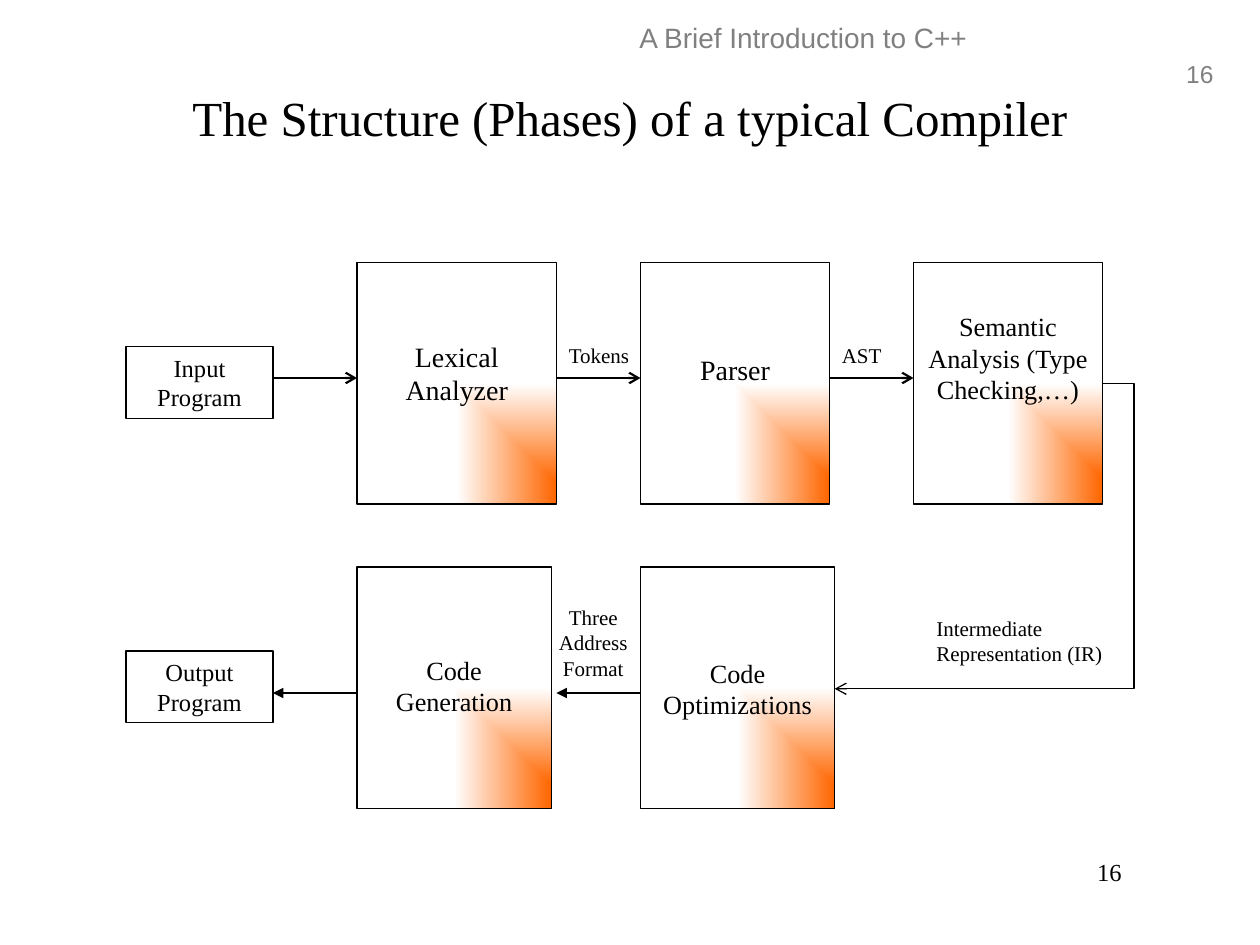
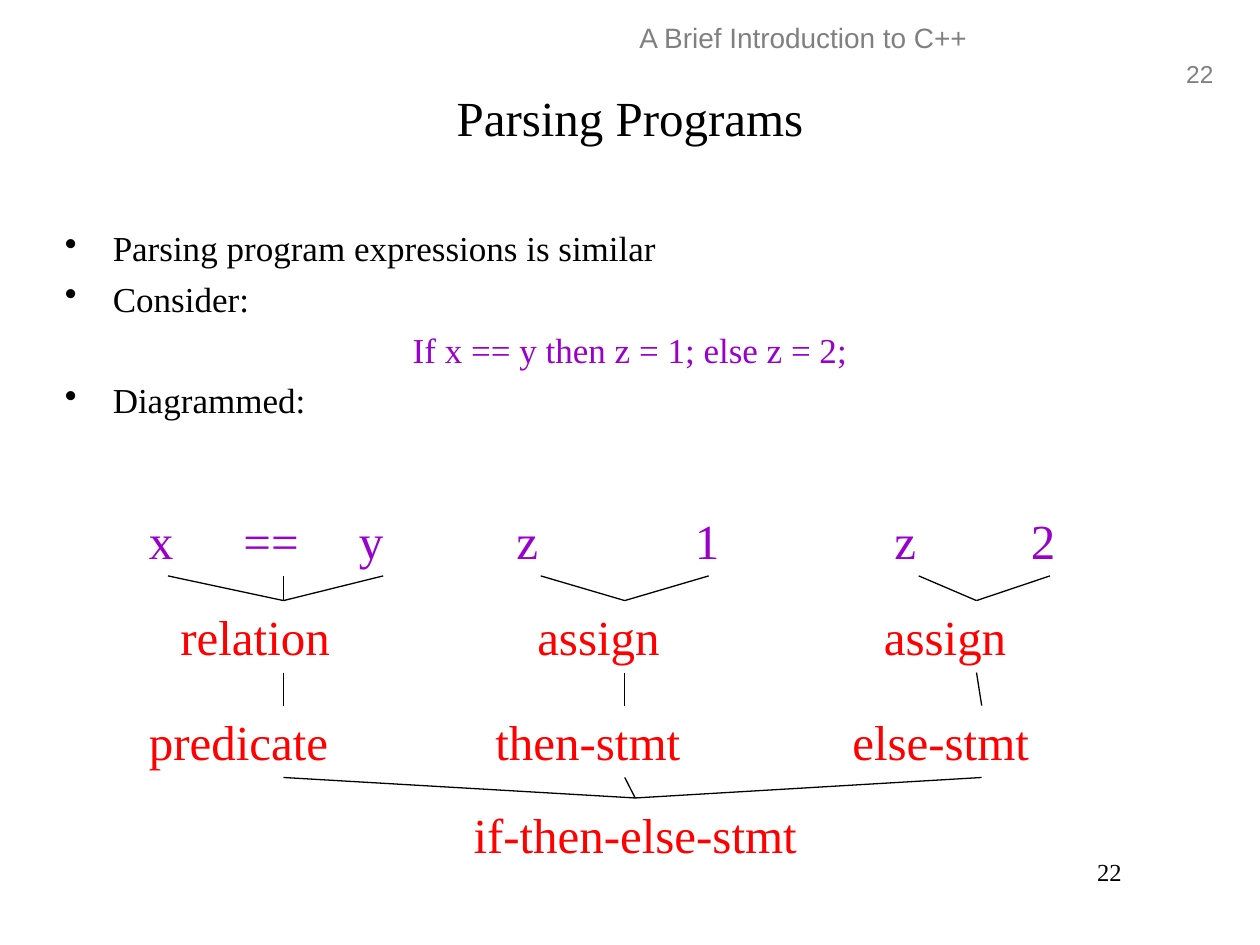
from dataclasses import dataclass
from typing import NamedTuple

from lxml import etree
from pptx import Presentation, util as u
from pptx.dml.color import RGBColor
from pptx.enum import shapes, text
from pptx.oxml.ns import qn

COLUMNS, ROWS = 120, 90
WIDTH, HEIGHT = u.Inches(10), u.Inches(7.5)
LEFT, CENTER, RIGHT = text.PP_ALIGN.LEFT, text.PP_ALIGN.CENTER, text.PP_ALIGN.RIGHT
TOP, MIDDLE = text.MSO_ANCHOR.TOP, text.MSO_ANCHOR.MIDDLE


@dataclass(frozen=True)
class Theme:
    serif: str = "Times New Roman"
    sans: str = "Arial"
    black: str = "000000"
    gray: str = "808080"
    white: str = "FFFFFF"
    orange: str = "FF6600"
    token: str = "9900CC"
    rule: str = "FF0000"
    title: float = 28
    body: float = 20
    header: float = 16
    phase: float = 15
    number: float = 14
    label: float = 12
    thin: float = 0.75
    thick: float = 1.25


THEME = Theme()


class Box(NamedTuple):
    """A place on the grid, in columns and rows."""
    column: float
    row: float
    columns: float
    rows: float


class Style(NamedTuple):
    size: float
    color: str = THEME.black
    font: str = THEME.serif
    align: text.PP_ALIGN = LEFT
    anchor: text.MSO_ANCHOR = TOP


class Phase(NamedTuple):
    name: str
    box: Box
    label_row: float
    size: float = THEME.phase


class Label(NamedTuple):
    words: str
    box: Box
    align: text.PP_ALIGN = LEFT


class Flow(NamedTuple):
    start: float
    end: float
    row: float
    head: str


class Node(NamedTuple):
    word: str
    column: float
    columns: float


class Fan(NamedTuple):
    """Lines from several columns that meet in one joint."""
    starts: tuple[float, ...]
    row: float
    joint: float
    joint_row: float


PHASE_ROWS = 23
PHASES = (
    Phase("Lexical Analyzer", Box(34, 25, 19, PHASE_ROWS), 31.7, THEME.header),
    Phase("Parser", Box(61, 25, 18, PHASE_ROWS), 33, THEME.header),
    Phase("Semantic Analysis (Type Checking,…)", Box(87, 25, 18, PHASE_ROWS), 29),
    Phase("Code\nGeneration", Box(34, 54, 18.5, PHASE_ROWS), 61.7),
    Phase("Code Optimizations", Box(61, 54, 18.5, PHASE_ROWS), 62),
)
PROGRAMS = (
    Label("Input Program", Box(12, 33, 14, 6.85)),
    Label("Output\nProgram", Box(12, 62, 14, 6.85)),
)
FLOWS = (
    Flow(26, 34, 36, "arrow"),
    Flow(53, 61, 36, "arrow"),
    Flow(79, 87, 36, "arrow"),
    Flow(61, 53, 66, "triangle"),
    Flow(34, 26, 66, "triangle"),
)
FLOW_LABELS = (
    Label("Tokens", Box(53, 32, 8.5, 3.6)),
    Label("AST", Box(79, 32, 6.5, 3.6)),
    Label("Three\nAddress\nFormat", Box(52, 57, 9, 8.5), CENTER),
    Label("Intermediate Representation (IR)", Box(88, 58, 19, 6)),
)

NODE_ROWS = 6.85
TOKEN_ROW, GROUP_ROW, PART_ROW, ROOT_ROW = 48, 57.2, 67.2, 76
TOKENS = (
    Node("x", 13, 6), Node("==", 22, 10), Node("y", 33, 7),
    Node("z", 48, 7), Node("1", 65, 5),
    Node("z", 84, 7), Node("2", 97, 6),
)
GROUPS = (Node("relation", 16, 22), Node("assign", 50, 19), Node("assign", 83, 20))
PARTS = (Node("predicate", 13, 28), Node("then-stmt", 46, 27), Node("else-stmt", 80, 27))
ROOT = (Node("if-then-else-stmt", 38, 45),)
TREE = (
    (TOKEN_ROW, TOKENS, THEME.token, LEFT),
    (GROUP_ROW, GROUPS, THEME.rule, LEFT),
    (PART_ROW, PARTS, THEME.rule, LEFT),
    (ROOT_ROW, ROOT, THEME.rule, CENTER),
)
TOKEN_END, GROUP_END, PART_END = (row + NODE_ROWS for row in (TOKEN_ROW, GROUP_ROW, PART_ROW))
FANS = (
    Fan((16, 27, 36.5), TOKEN_END, 27, GROUP_ROW),
    Fan((51.5, 67.5), TOKEN_END, 59.5, GROUP_ROW),
    Fan((87.5, 100), TOKEN_END, 93, GROUP_ROW),
    Fan((27,), GROUP_END, 27, PART_ROW),
    Fan((59.5,), GROUP_END, 59.5, PART_ROW),
    Fan((93,), GROUP_END, 93.5, PART_ROW),
    Fan((27, 59.5, 93.5), PART_END, 60.5, ROOT_ROW),
)


def across(columns: float) -> int:
    return round(WIDTH * columns / COLUMNS)


def down(rows: float) -> int:
    return round(HEIGHT * rows / ROWS)


def place(box: Box) -> tuple[int, int, int, int]:
    return across(box.column), down(box.row), across(box.columns), down(box.rows)


def write(shape, words: str, style: Style) -> None:
    frame = shape.text_frame
    frame.word_wrap = True
    frame.vertical_anchor = style.anchor
    frame.text = words
    for paragraph in frame.paragraphs:
        paragraph.alignment = style.align
        set_font(paragraph, style)


def set_font(paragraph, style: Style) -> None:
    paragraph.font.name = style.font
    paragraph.font.size = u.Pt(style.size)
    paragraph.font.color.rgb = RGBColor.from_string(style.color)


def add_text(slide, words: str, box: Box, style: Style):
    shape = slide.shapes.add_textbox(*place(box))
    write(shape, words, style)
    return shape


def add_rectangle(slide, box: Box):
    shape = slide.shapes.add_shape(shapes.MSO_SHAPE.RECTANGLE, *place(box))
    shape.shadow.inherit = False
    shape.fill.background()
    shape.line.color.rgb = RGBColor.from_string(THEME.black)
    shape.line.width = u.Pt(THEME.thin)
    return shape


def glow_from_corner(shape) -> None:
    """Fill with a gradient that spreads from the bottom right corner."""
    shape.fill.gradient()
    for stop, color in zip(shape.fill.gradient_stops, (THEME.orange, THEME.white)):
        stop.color.rgb = RGBColor.from_string(color)
    gradient = shape._element.spPr.find(qn("a:gradFill"))
    spread = etree.Element(qn("a:path"), {"path": "rect"})
    etree.SubElement(spread, qn("a:fillToRect"), {"l": "100000", "t": "100000"})
    gradient.replace(gradient.find(qn("a:lin")), spread)


def add_line(slide, start: tuple[float, float], end: tuple[float, float],
             width: float = THEME.thin, head: str = "",
             kind: shapes.MSO_CONNECTOR = shapes.MSO_CONNECTOR.STRAIGHT):
    connector = slide.shapes.add_connector(
        kind, across(start[0]), down(start[1]), across(end[0]), down(end[1]))
    connector.line.color.rgb = RGBColor.from_string(THEME.black)
    connector.line.width = u.Pt(width)
    properties = connector._element.spPr
    if head:
        etree.SubElement(properties.find(qn("a:ln")), qn("a:tailEnd"), {"type": head})
    etree.SubElement(properties, qn("a:effectLst"))
    return connector


def add_return_line(slide) -> None:
    """Lead from semantic analysis around the right side to the optimizations."""
    connector = add_line(slide, (105, 36.5), (79.5, 65.6), head="arrow",
                         kind=shapes.MSO_CONNECTOR.ELBOW)
    geometry = connector._element.spPr.find(qn("a:prstGeom"))
    adjustments = geometry.find(qn("a:avLst"))
    if adjustments is None:
        adjustments = etree.SubElement(geometry, qn("a:avLst"))
    etree.SubElement(adjustments, qn("a:gd"), {"name": "adj1", "fmla": "val -11800"})


def add_page(presentation, title: str, number: int):
    slide = presentation.slides.add_slide(presentation.slide_layouts[6])
    add_text(slide, str(number), Box(111.25, 5, 5.5, 4),
             Style(THEME.number, THEME.gray, THEME.sans, RIGHT))
    add_text(slide, "A Brief Introduction to C++", Box(38.25, 1.4, 76.5, 4.8),
             Style(THEME.header, THEME.gray, THEME.sans, CENTER))
    add_text(slide, title, Box(6, 3.6, 108, 15),
             Style(THEME.title, align=CENTER, anchor=MIDDLE))
    add_text(slide, str(number), Box(83, 81, 25, 6), Style(THEME.number, align=RIGHT))
    return slide


def add_compiler_slide(presentation) -> None:
    slide = add_page(presentation, "The Structure (Phases) of a typical Compiler", 16)
    for phase in PHASES:
        glow_from_corner(add_rectangle(slide, phase.box))
        add_text(slide, phase.name, phase.box._replace(row=phase.label_row, rows=7.3),
                 Style(phase.size, align=CENTER))
    for program in PROGRAMS:
        write(add_rectangle(slide, program.box), program.words,
              Style(THEME.number, align=CENTER, anchor=MIDDLE))
    for flow in FLOWS:
        add_line(slide, (flow.start, flow.row), (flow.end, flow.row), THEME.thick, flow.head)
    add_return_line(slide)
    for label in FLOW_LABELS:
        add_text(slide, label.words, label.box, Style(THEME.label, align=label.align))


def add_bullets(slide) -> None:
    lines = ("Parsing program expressions is similar", "Consider:",
             "If x == y then z = 1; else z = 2;", "Diagrammed:")
    example = 2
    shape = add_text(slide, "\n".join(lines), Box(5, 21, 110, 29), Style(THEME.body))
    indent = u.Inches(0.38)
    for index, paragraph in enumerate(shape.text_frame.paragraphs):
        properties = paragraph._p.get_or_add_pPr()
        properties.set("marL", str(indent))
        properties.set("indent", str(-indent))
        if index:
            paragraph.space_before = u.Pt(5)
        if index == example:
            paragraph.alignment = CENTER
            set_font(paragraph, Style(THEME.body, THEME.token))
        else:
            bullet = etree.Element(qn("a:buChar"), {"char": "•"})
            properties.find(qn("a:defRPr")).addprevious(bullet)


def add_parsing_slide(presentation) -> None:
    slide = add_page(presentation, "Parsing Programs", 22)
    add_bullets(slide)
    for row, nodes, color, align in TREE:
        for node in nodes:
            add_text(slide, node.word, Box(node.column, row, node.columns, NODE_ROWS),
                     Style(THEME.title, color, align=align))
    for fan in FANS:
        for start in fan.starts:
            add_line(slide, (start, fan.row), (fan.joint, fan.joint_row))


def main() -> None:
    presentation = Presentation()
    presentation.slide_width, presentation.slide_height = WIDTH, HEIGHT
    add_compiler_slide(presentation)
    add_parsing_slide(presentation)
    presentation.save("out.pptx")


if __name__ == "__main__":
    main()
